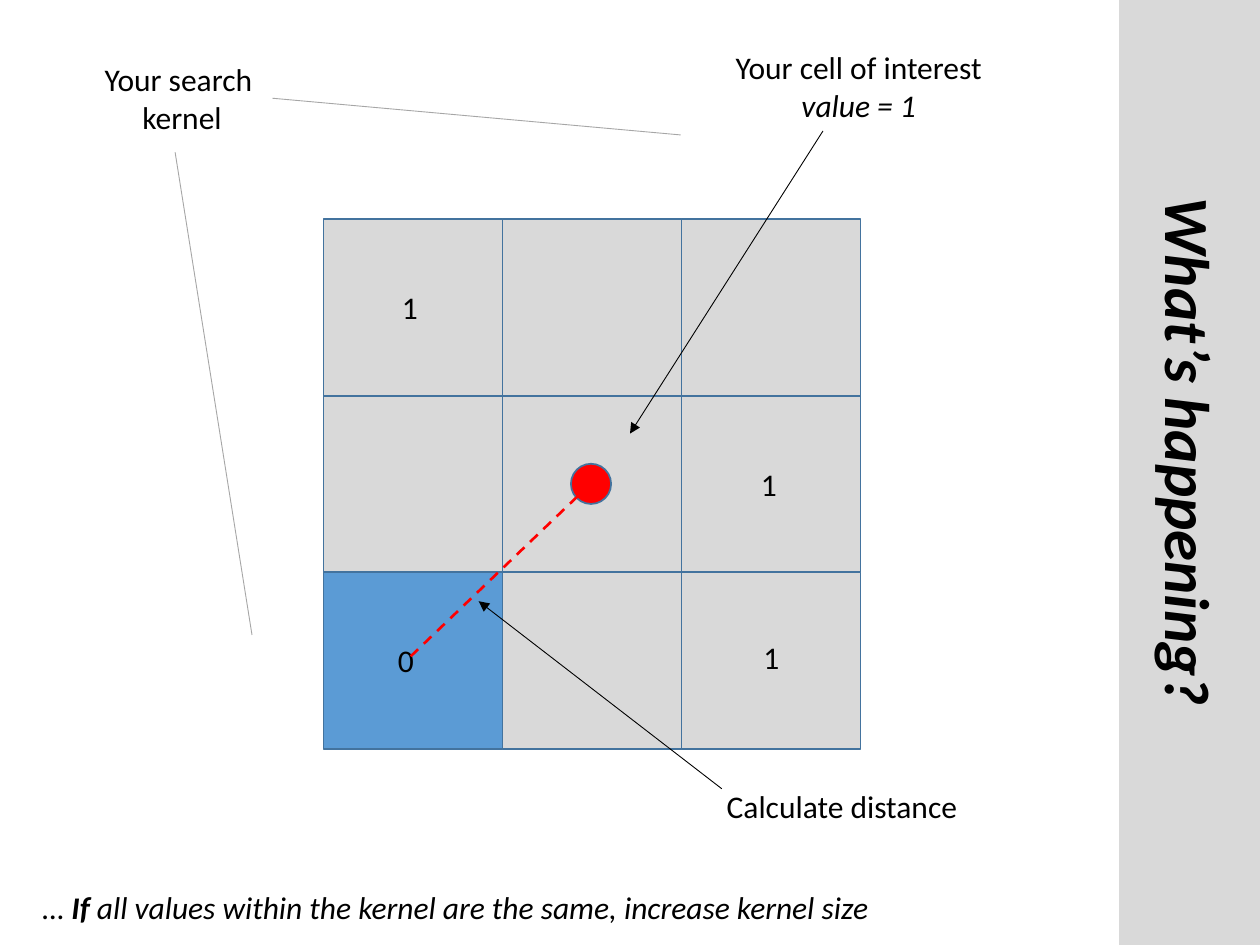
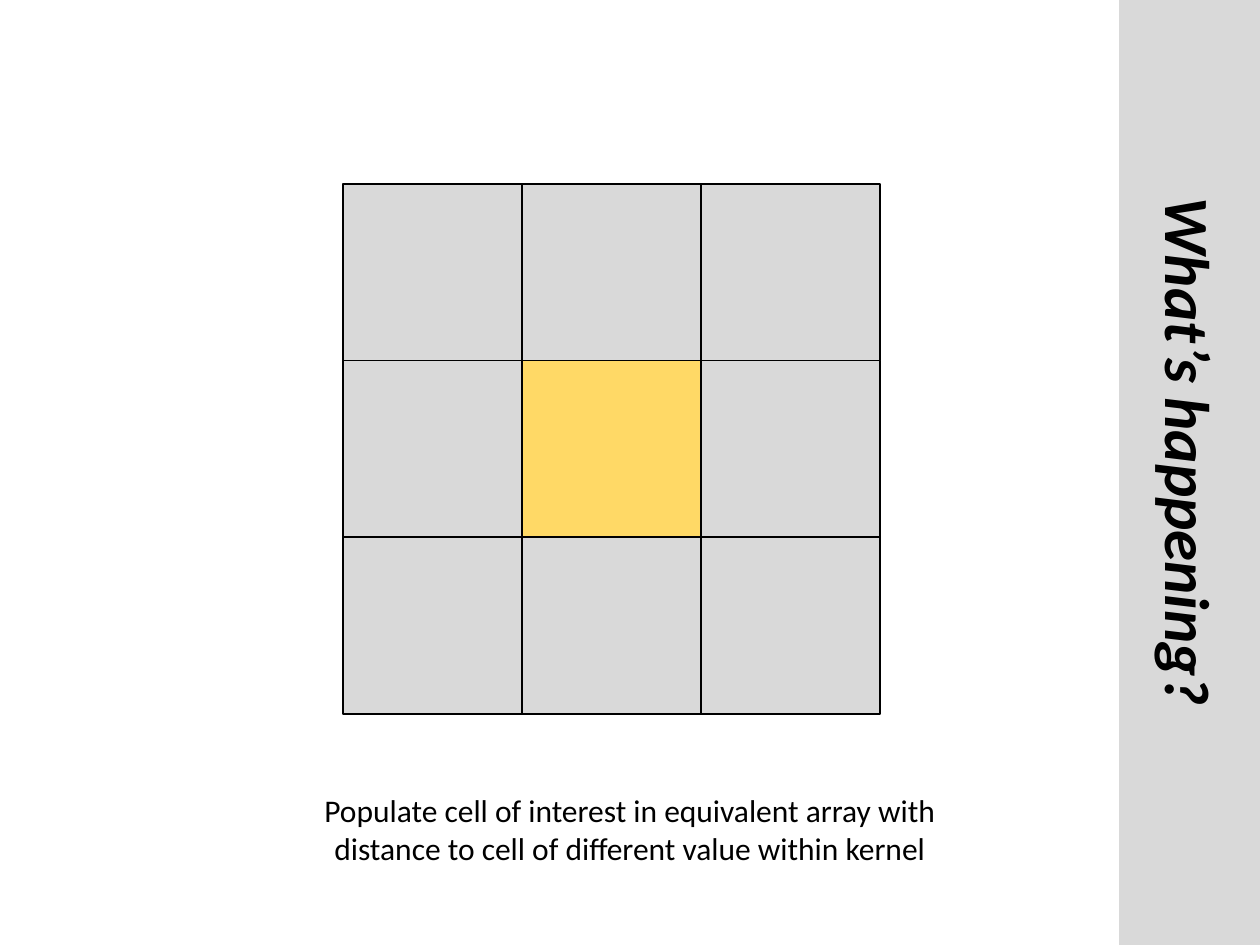
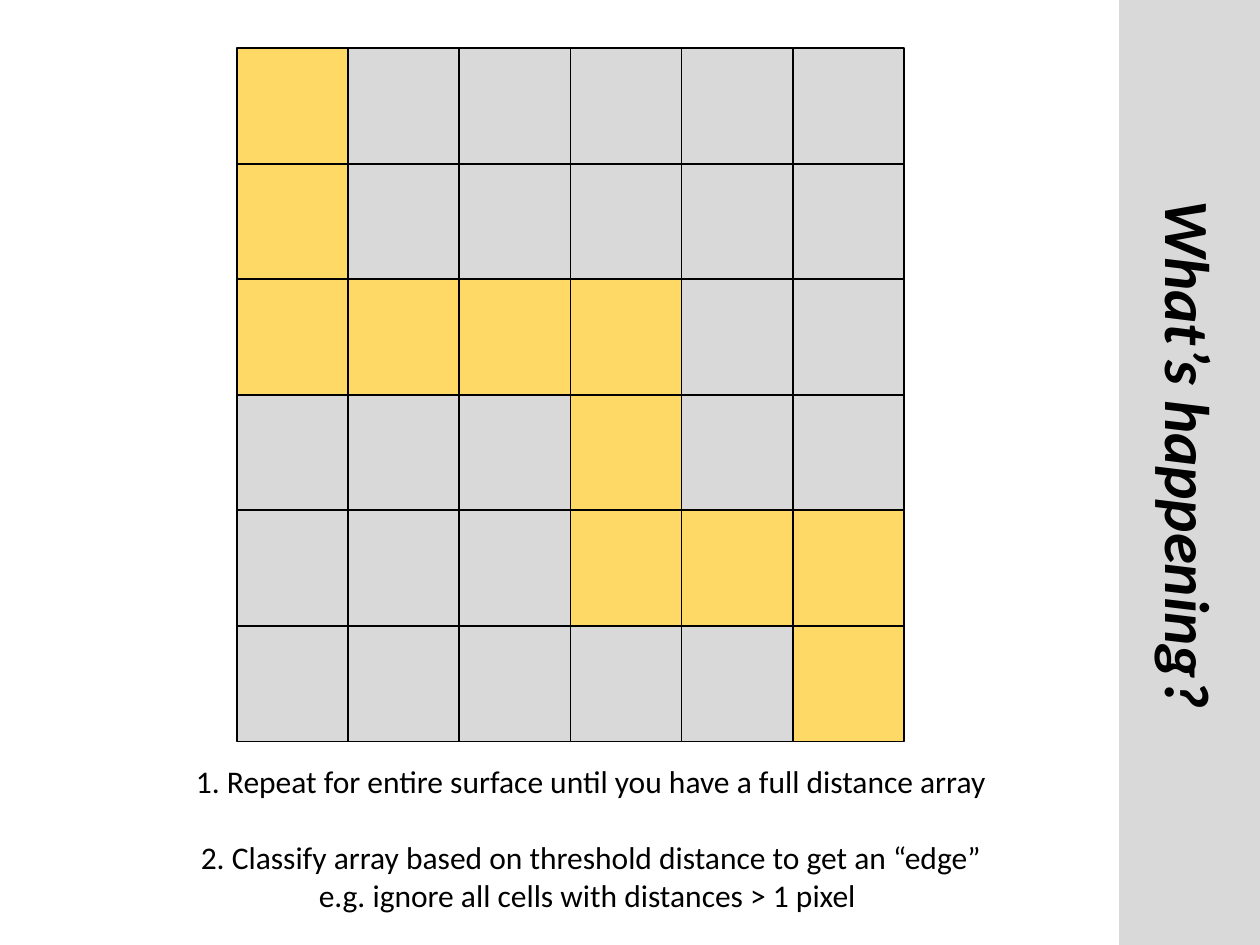
from dataclasses import dataclass

from lxml import etree
from pptx import Presentation
from pptx.dml.color import RGBColor
from pptx.enum.dml import MSO_LINE
from pptx.enum.shapes import MSO_CONNECTOR, MSO_SHAPE
from pptx.enum.text import MSO_ANCHOR, MSO_AUTO_SIZE, PP_ALIGN
from pptx.oxml.ns import qn
from pptx.util import Cm, Pt

RECT, OVAL = MSO_SHAPE.RECTANGLE, MSO_SHAPE.OVAL
STRAIGHT, DASH = MSO_CONNECTOR.STRAIGHT, MSO_LINE.DASH
LEFT, CENTER = PP_ALIGN.LEFT, PP_ALIGN.CENTER
FIT, NO_FIT, TOP = MSO_AUTO_SIZE.SHAPE_TO_FIT_TEXT, MSO_AUTO_SIZE.NONE, MSO_ANCHOR.TOP


@dataclass(frozen=True)
class Theme:
    font: str = "Calibri"
    title_size: float = 36
    body_size: float = 18
    outline: float = 1
    thin: float = 0.5
    dashed: float = 1.5
    black: str = "000000"
    grey: str = "D9D9D9"
    mid_grey: str = "A6A6A6"
    blue: str = "5B9BD5"
    dark_blue: str = "43739E"
    yellow: str = "FFD966"
    red: str = "FF0000"


class Deck:
    """Holds the theme and the current slide; all lengths are in centimetres."""

    def __init__(self, theme):
        self.t = theme
        self.prs = Presentation()
        self.prs.slide_width, self.prs.slide_height = Cm(25.4), Cm(19.05)
        self.s = None

    def slide(self, title, align=LEFT):
        """Start a slide with a side band and a title turned to run down it."""
        self.s = self.prs.slides.add_slide(self.prs.slide_layouts[5])
        sp = self.s.shapes.title
        band = self.shape(RECT, 22.58, 0, 2.82, 19.05, self.t.grey, self.t.grey)
        sp.element.addprevious(band.element)
        sp.left, sp.top, sp.width, sp.height = Cm(18.57), Cm(8.26), Cm(10.85), Cm(1.8)
        sp.rotation = 90
        tf = sp.text_frame
        tf.word_wrap, tf.auto_size, tf.vertical_anchor = False, NO_FIT, TOP
        p = tf.paragraphs[0]
        p.alignment = align
        self.run(p, title, self.t.title_size, bold=True, italic=True)

    def run(self, p, text, size, bold=False, italic=False):
        r = p.add_run()
        r.text = text
        r.font.name, r.font.size = self.t.font, Pt(size)
        r.font.bold, r.font.italic = bold, italic
        r.font.color.rgb = RGBColor.from_string(self.t.black)

    def shape(self, kind, x, y, w, h, fill, line):
        sp = self.s.shapes.add_shape(kind, Cm(x), Cm(y), Cm(w), Cm(h))
        sp.shadow.inherit = False
        sp.fill.solid()
        sp.fill.fore_color.rgb = RGBColor.from_string(fill)
        sp.line.color.rgb = RGBColor.from_string(line)
        sp.line.width = Pt(self.t.outline)
        return sp

    def grid(self, x, y, w, h, rows, line):
        """Draw one cell per letter: . grey, B blue, Y yellow."""
        fills = {".": self.t.grey, "B": self.t.blue, "Y": self.t.yellow}
        for i, row in enumerate(rows):
            for j, key in enumerate(row):
                self.shape(RECT, x + j * w, y + i * h, w, h, fills[key], line)

    def text(self, x, y, w, h, *paras, wrap=False):
        """Each paragraph is (alignment, space before, runs of (text, bold, italic))."""
        tf = self.s.shapes.add_textbox(Cm(x), Cm(y), Cm(w), Cm(h)).text_frame
        tf.word_wrap, tf.auto_size = wrap, FIT
        for i, (align, before, runs) in enumerate(paras):
            p = tf.add_paragraph() if i else tf.paragraphs[0]
            p.alignment, p.space_before = align, Pt(before)
            for words, bold, italic in runs:
                self.run(p, words, self.t.body_size, bold, italic)

    def line(self, start, end, color, width, dash=None, arrow=False):
        x1, y1, x2, y2 = (Cm(v) for v in (*start, *end))
        c = self.s.shapes.add_connector(STRAIGHT, x1, y1, x2, y2)
        c.line.color.rgb = RGBColor.from_string(color)
        c.line.width = Pt(width)
        if dash:
            c.line.dash_style = dash
        sp_pr = c.element.spPr
        if arrow:
            etree.SubElement(sp_pr.find(qn("a:ln")), qn("a:tailEnd"), type="triangle")
        etree.SubElement(sp_pr, qn("a:effectLst"))


def para(text, align=LEFT, before=0, italic=False):
    return align, before, [(text, False, italic)]


def kernel_slide(d):
    t = d.t
    d.slide(TITLE)

    # Search kernel and cell of interest
    d.grid(6.52, 4.42, 3.61, 3.56, ["...", "...", "B.."], t.dark_blue)
    d.shape(OVAL, 11.51, 9.35, 0.81, 0.81, t.red, t.dark_blue)
    d.line((16.59, 2.64), (12.7, 8.74), t.black, t.thin, arrow=True)
    d.text(14.58, 0.84, 5.54, 1.8, para("Your cell of interest"),
           para("value = 1", CENTER, italic=True))

    # Cell values
    for value, x, y in (("1", 7.85, 5.69), ("1", 15.09, 9.25),
                        ("1", 15.14, 12.73), ("0", 7.77, 12.8)):
        d.text(x, y, 0.84, 1.02, para(value))

    # Distance
    d.line((11.91, 9.75), (8.28, 13.23), t.red, t.dashed, dash=DASH)
    d.line((14.55, 15.9), (9.65, 12.12), t.black, t.thin, arrow=True)
    d.text(14.4, 15.75, 5.21, 1.02, para("Calculate distance"))

    # Kernel label and its extent lines
    d.text(1.83, 1.09, 3.68, 1.8, para("Your search ", CENTER), para("kernel", CENTER))
    d.line((3.53, 3.07), (5.08, 12.8), t.mid_grey, t.thin)
    d.line((5.49, 1.98), (13.72, 2.72), t.mid_grey, t.thin)

    # Closing remark
    d.text(0.61, 17.78, 17.32, 1.02, (LEFT, 0, [
        ("… ", False, True), ("If", True, True),
        (" all values within the kernel are the same, increase kernel size", False, True)]))


def populate_slide(d):
    d.slide(TITLE)
    d.grid(6.91, 3.71, 3.61, 3.56, ["...", ".Y.", "..."], d.t.black)
    d.text(5.64, 15.82, 14.12, 1.8,
           para("Populate cell of interest in equivalent array with distance "
                "to cell of different value within kernel", CENTER), wrap=True)


def edge_slide(d):
    d.slide(TITLE, CENTER)
    d.grid(4.78, 0.97, 2.24, 2.33,
           ["Y.....", "Y.....", "YYYY..", "...Y..", "...YYY", ".....Y"], d.t.black)
    d.text(3.1, 15.24, 17.63, 4.11,
           para("1. Repeat for entire surface until you have a full distance array", CENTER),
           para("2. Classify array based on threshold distance to get an “edge”", CENTER, 22),
           para("e.g. ignore all cells with distances > 1 pixel ", CENTER), wrap=True)


TITLE = "What’s happening?"


def main():
    d = Deck(Theme())
    kernel_slide(d)
    populate_slide(d)
    edge_slide(d)
    d.prs.save("out.pptx")


if __name__ == "__main__":
    main()
